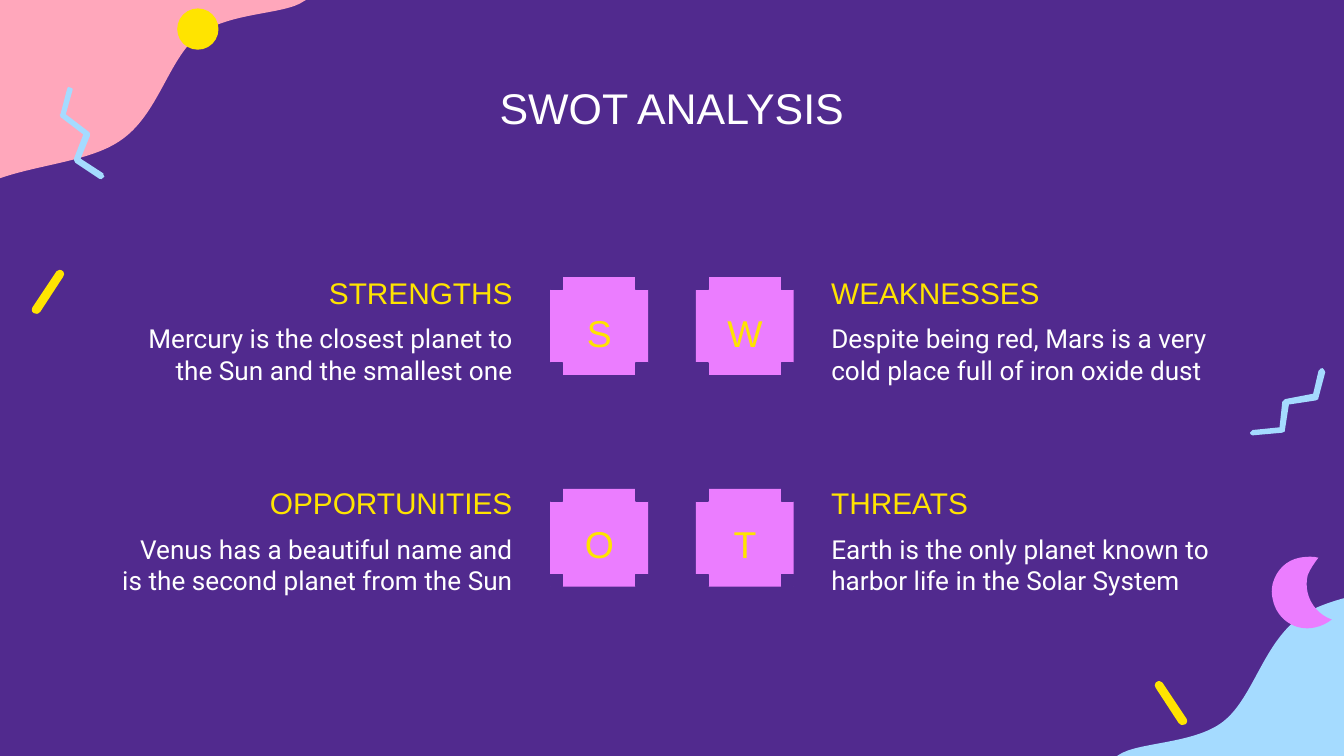
from math import cos, radians, sin

from lxml.etree import SubElement
from pptx import Presentation
from pptx.dml.color import RGBColor
from pptx.enum.shapes import MSO_SHAPE
from pptx.enum.text import MSO_ANCHOR, MSO_AUTO_SIZE, PP_ALIGN
from pptx.oxml.ns import qn
from pptx.util import Cm, Pt

PURPLE, PINK, SKY = "512A8E", "FFA7BB", "A5DBFF"
YELLOW, ORCHID, WHITE = "FFE400", "EB7DFF", "FFFFFF"
CM_PER_INCH = 2.54
TEXT_PITCH, TILE_PITCH = 3.98, 4
COLUMN_WIDTH = 7.95

BLOB_BOX = (-1.34, -0.53, 3.93, 3.05)
BLOB = [
    (-1.18, 2.32), (-1.14, 2.75, -0.95, 2.4, -0.79, 2.25),
    (-0.63, 2.1, -0.49, 1.63, -0.21, 1.43), (0.07, 1.23, 0.61, 1.24, 0.89, 1.05),
    (1.18, 0.86, 1.25, 0.44, 1.48, 0.26), (1.7, 0.09, 2.12, 0.11, 2.26, 0.01),
    (2.4, -0.08, 2.89, -0.24, 2.34, -0.3), (1.79, -0.35, -0.43, -0.77, -1.01, -0.33),
    (-1.6, 0.11, -1.22, 1.89, -1.18, 2.32),
]
STICK_BOX = (0.27, 1.99, 0.18, 0.36)
STICK = [
    (0.47, 2.02), (0.48, 2.03, 0.48, 2.05, 0.47, 2.06), (0.3, 2.32),
    (0.28, 2.34, 0.27, 2.34, 0.25, 2.33), (0.25, 2.33, 0.25, 2.33, 0.24, 2.32),
    (0.24, 2.31, 0.23, 2.3, 0.24, 2.29), (0.42, 2.02),
    (0.43, 2.01, 0.45, 2, 0.47, 2.02), (0.47, 2.02, 0.47, 2.02, 0.47, 2.02),
]
MOON = [
    (9.47, 4.34), (9.5, 4.24, 9.57, 4.17, 9.67, 4.15),
    (9.73, 4.14, 9.77, 4.14, 9.81, 4.15), (9.78, 4.19, 9.75, 4.23, 9.73, 4.28),
    (9.72, 4.32, 9.72, 4.37, 9.73, 4.41), (9.75, 4.5, 9.82, 4.58, 9.91, 4.61),
    (9.87, 4.64, 9.83, 4.66, 9.78, 4.67), (9.64, 4.7, 9.5, 4.61, 9.47, 4.46),
    (9.46, 4.42, 9.46, 4.38, 9.47, 4.34),
]
LEFT_ZIGZAG = [
    (0.45, 0.86), (0.45, 0.87, 0.45, 0.87, 0.45, 0.87), (0.62, 1), (0.55, 1.18),
    (0.55, 1.19, 0.55, 1.19, 0.55, 1.19), (0.55, 1.2, 0.56, 1.2, 0.56, 1.21),
    (0.74, 1.33), (0.75, 1.34, 0.76, 1.33, 0.77, 1.32),
    (0.78, 1.32, 0.78, 1.31, 0.77, 1.3), (0.77, 1.3, 0.77, 1.29, 0.77, 1.29),
    (0.6, 1.18), (0.67, 1.01), (0.67, 1, 0.67, 1, 0.67, 0.99),
    (0.67, 0.99, 0.66, 0.98, 0.66, 0.98), (0.49, 0.85), (0.54, 0.67),
    (0.54, 0.67, 0.54, 0.67, 0.54, 0.66), (0.54, 0.66, 0.53, 0.65, 0.52, 0.65),
    (0.51, 0.64, 0.5, 0.65, 0.5, 0.66), (0.45, 0.85),
    (0.44, 0.85, 0.44, 0.86, 0.45, 0.86),
]
RIGHT_ZIGZAG = [
    (9.81, 2.97), (9.8, 2.97, 9.8, 2.98, 9.79, 2.98), (9.59, 3.01), (9.56, 3.2),
    (9.56, 3.21, 9.56, 3.21, 9.56, 3.21), (9.55, 3.22, 9.55, 3.22, 9.54, 3.22),
    (9.32, 3.24), (9.31, 3.24, 9.3, 3.23, 9.3, 3.22),
    (9.3, 3.21, 9.3, 3.21, 9.31, 3.21), (9.31, 3.2, 9.32, 3.2, 9.32, 3.2),
    (9.52, 3.18), (9.54, 2.99), (9.55, 2.99, 9.55, 2.98, 9.55, 2.98),
    (9.55, 2.98, 9.56, 2.97, 9.56, 2.97), (9.77, 2.93), (9.81, 2.76),
    (9.81, 2.76, 9.82, 2.75, 9.82, 2.75), (9.82, 2.74, 9.83, 2.74, 9.84, 2.74),
    (9.85, 2.75, 9.86, 2.76, 9.86, 2.77), (9.81, 2.96),
    (9.81, 2.96, 9.81, 2.97, 9.81, 2.97),
]
QUADRANTS = [
    (0, 0, "STRENGTHS", "Mercury is the closest planet to the Sun and the smallest one"),
    (1, 0, "WEAKNESSES", "Despite being red, Mars is a very cold place full of iron oxide dust"),
    (0, 1, "OPPORTUNITIES", "Venus has a beautiful name and is the second planet from the Sun"),
    (1, 1, "THREATS", "Earth is the only planet known to harbor life in the Solar System"),
]


def rgb(colour):
    return RGBColor.from_string(colour)


def paint(shape, colour, edge=None):
    shape.shadow.inherit = False
    shape.fill.solid()
    shape.fill.fore_color.rgb = rgb(colour)
    if edge:
        shape.line.color.rgb = rgb(edge)
        shape.line.width = Pt(0.75)
    else:
        shape.line.fill.background()


def place(shape, left, top, width, height):
    shape.left, shape.top = Cm(left), Cm(top)
    shape.width, shape.height = Cm(width), Cm(height)


def write(shape, text, size=14, font="Arial", colour=WHITE, align=PP_ALIGN.CENTER):
    frame = shape.text_frame
    frame.word_wrap = True
    frame.auto_size = MSO_AUTO_SIZE.NONE
    frame.vertical_anchor = MSO_ANCHOR.MIDDLE
    frame.margin_left = frame.margin_right = Cm(0.25)
    frame.margin_top = frame.margin_bottom = Cm(0.25)
    paragraph = frame.paragraphs[0]
    properties = paragraph._p.get_or_add_pPr()
    properties.set("marL", "0")
    properties.set("indent", "0")
    SubElement(properties, qn("a:buNone"))
    paragraph.alignment = align
    paragraph.space_before = Pt(0)
    paragraph.line_spacing = 1.0
    run = paragraph.add_run()
    run.text = text
    run.font.name = font
    run.font.size = Pt(size)
    run.font.bold = False
    run.font.color.rgb = rgb(colour)


def add_label(slide, box, text, **style):
    label = slide.shapes.add_textbox(*map(Cm, box))
    write(label, text, **style)


def level(outline, box, rotation, mirrored):
    left, top, width, height = box
    c, s = cos(radians(rotation)), sin(radians(rotation))
    points = []
    for step in outline:
        for x, y in zip(step[::2], step[1::2]):
            dx, dy = x - left - width / 2, y - top - height / 2
            across, down = dx * c + dy * s, dy * c - dx * s
            across = -across if mirrored else across
            points.append((Cm((width / 2 + across) * CM_PER_INCH),
                           Cm((height / 2 + down) * CM_PER_INCH)))
    return points


def add_outline(slide, outline, colour, box, rotation=0, corner=None, turn=0, mirrored=False):
    points = level(outline, box, rotation, mirrored)
    builder = slide.shapes.build_freeform(*points[0])
    builder.add_line_segments(points[1:])
    shape = builder.convert_to_shape()
    route = next(shape._element.iter(qn("a:path")))
    for vertex, (x, y) in zip(route.iter(qn("a:pt")), points):
        vertex.set("x", str(x))
        vertex.set("y", str(y))
    segments = iter(route.findall(qn("a:lnTo")))
    for step in outline[1:]:
        segment = next(segments)
        if len(step) == 6:
            controls = [segment, next(segments), next(segments)]
            curve = SubElement(route, qn("a:cubicBezTo"))
            segment.addprevious(curve)
            for control in controls:
                curve.append(control[0])
                route.remove(control)
    place(shape, *(value * CM_PER_INCH for value in (*(corner or box[:2]), *box[2:])))
    route.set("w", str(shape.width))
    route.set("h", str(shape.height))
    shape.rotation = (-rotation if mirrored else rotation) + turn
    paint(shape, colour)


def add_decorations(slide):
    add_outline(slide, BLOB, PINK, BLOB_BOX)
    add_outline(slide, BLOB, SKY, BLOB_BOX, corner=(7.99, 3.11), turn=180)
    sun = slide.shapes.add_shape(MSO_SHAPE.OVAL, Cm(3.35), Cm(0.16), Cm(0.78), Cm(0.78))
    paint(sun, YELLOW)
    add_outline(slide, LEFT_ZIGZAG, SKY, (0.22, 0.89, 0.73, 0.21), 256.2)
    add_outline(slide, STICK, YELLOW, STICK_BOX, 54.2, corner=(8.62, 5.05), mirrored=True)
    add_outline(slide, MOON, ORCHID, (9.42, 4.17, 0.57, 0.49), 285)
    add_outline(slide, STICK, YELLOW, STICK_BOX, 54.2)
    add_outline(slide, RIGHT_ZIGZAG, SKY, (9.25, 2.92, 0.73, 0.21), 131.9)


def add_tile(slide, left, top):
    side, notch = 1.85, 0.23
    tile = slide.shapes.add_group_shape()
    body = tile.shapes.add_shape(MSO_SHAPE.RECTANGLE, Cm(left), Cm(top), Cm(side), Cm(side))
    paint(body, ORCHID)
    for dy in (side - notch, 0):
        for dx in (0, side - notch):
            corner = tile.shapes.add_shape(
                MSO_SHAPE.RECTANGLE, Cm(left + dx), Cm(top + dy), Cm(notch), Cm(notch))
            paint(corner, PURPLE, edge=PURPLE)


def add_quadrant(slide, description, column, row, heading, text):
    left = (1.99, 15.46)[column]
    tile_left = (10.4, 13.15)[column]
    align = (PP_ALIGN.RIGHT, PP_ALIGN.LEFT)[column]
    drop = row * TEXT_PITCH
    add_label(slide, (left, 4.93 + drop, COLUMN_WIDTH, 1.19), heading,
              size=16, colour=YELLOW, align=align)
    place(description, left, 6.12 + drop, COLUMN_WIDTH, 1.14)
    write(description, text, font="Roboto", align=align)
    add_tile(slide, tile_left, 5.24 + row * TILE_PITCH)
    add_label(slide, (tile_left + 0.28, 5.77 + drop, 1.3, 1.04), heading[0],
              size=20, colour=YELLOW)


def main():
    presentation = Presentation()
    presentation.slide_width, presentation.slide_height = Cm(25.4), Cm(14.29)
    slide = presentation.slides.add_slide(presentation.slide_layouts.get_by_name("Comparison"))
    slide.background.fill.solid()
    slide.background.fill.fore_color.rgb = rgb(PURPLE)
    title, *descriptions = slide.placeholders
    add_decorations(slide)
    place(title, 2, 1.23, 21.4, 1.6)
    write(title, "SWOT ANALYSIS", size=23)
    for description, quadrant in zip(descriptions, QUADRANTS):
        add_quadrant(slide, description, *quadrant)
    presentation.save("out.pptx")


if __name__ == "__main__":
    main()
